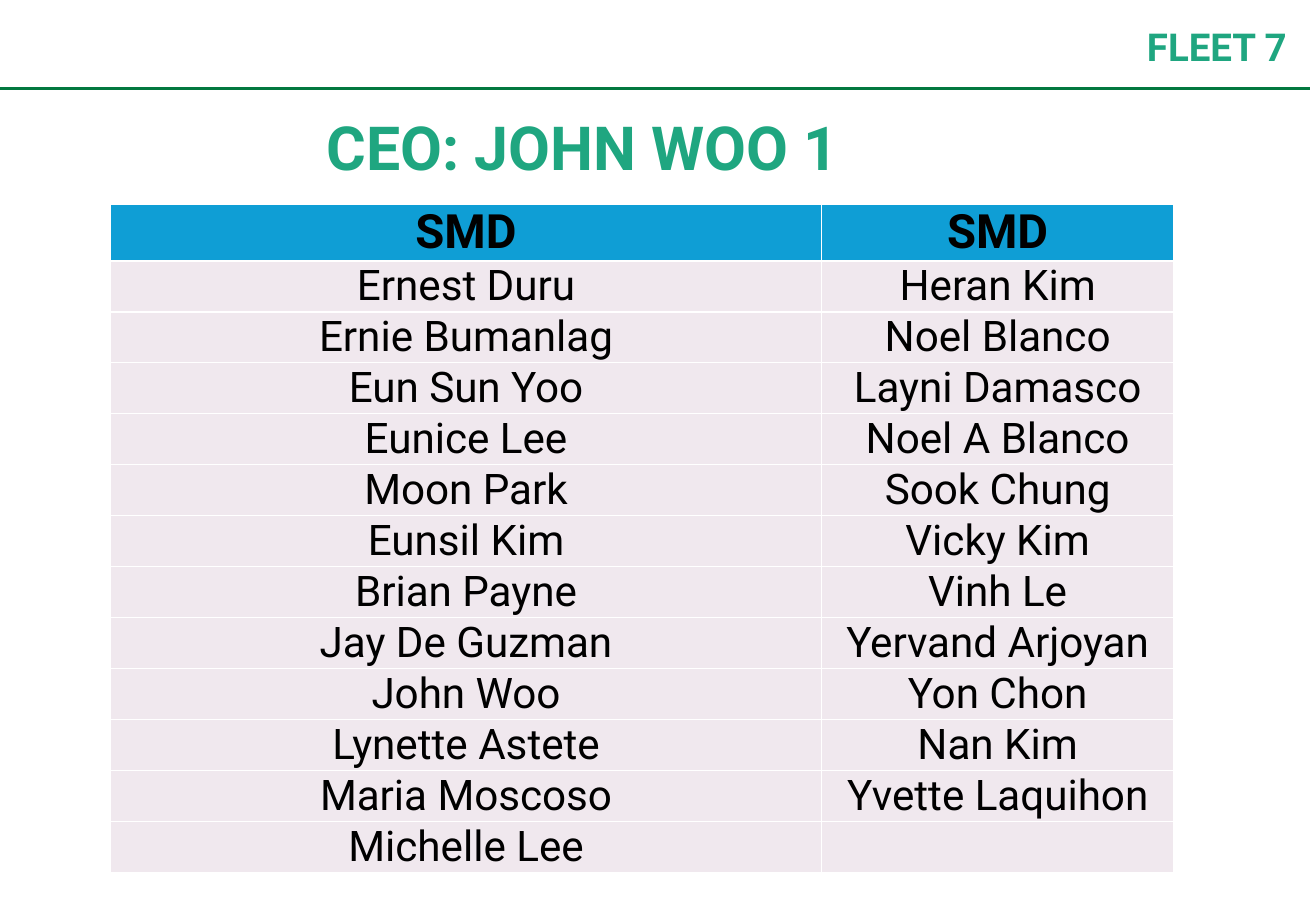
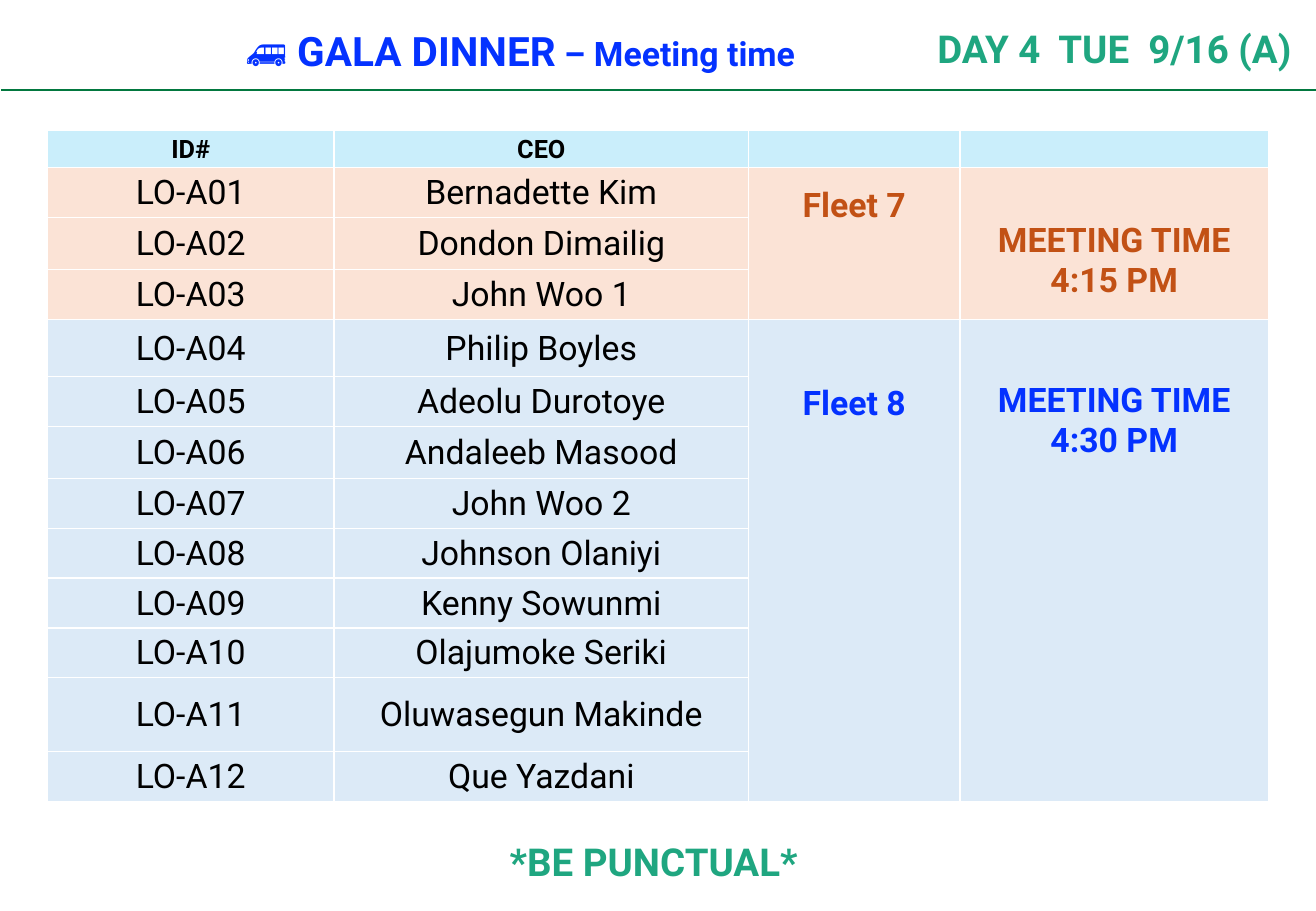
"""Build two event slides: a fleet roster and a gala dinner meeting schedule."""
import lxml.etree
import pptx
import pptx.dml.color
import pptx.enum.shapes
import pptx.enum.text
import pptx.oxml.ns
import pptx.util

Inches = pptx.util.Inches
ALIGN = pptx.enum.text.PP_ALIGN
ANCHOR = pptx.enum.text.MSO_ANCHOR
qn = pptx.oxml.ns.qn
FONT = "Roboto"
COLORS = {
    "green": "1FA680", "rule": "02783F", "blue": "0432FF", "orange": "C25115",
    "black": "000000", "white": "FFFFFF", "roster_head": "0F9ED5",
    "roster_row": "F0E8EE", "schedule_head": "CAEEFB", "peach": "FBE3D6",
    "sky": "DCEAF7",
}


def write(para, text, size=22.8, color="green", bold=True, align=ALIGN.CENTER):
    para.alignment = align
    span = para.add_run()
    span.text = text
    span.font.name = FONT
    span.font.size = pptx.util.Pt(size)
    span.font.bold = bold
    span.font.color.rgb = pptx.dml.color.RGBColor.from_string(COLORS[color])


def add_grid(page, left, top, widths, heights, fills, margin):
    frame = page.shapes.add_table(
        len(heights), len(widths), Inches(left), Inches(top),
        Inches(sum(widths)), Inches(sum(heights)))
    table = frame.table
    for column, width in zip(table.columns, widths):
        column.width = Inches(width)
    for row, height, fill in zip(table.rows, heights, fills):
        row.height = Inches(height)
        for cell in row.cells:
            cell.margin_left = cell.margin_right = cell.margin_top = Inches(margin)
            cell.margin_bottom = 0
            cell.vertical_anchor = ANCHOR.MIDDLE
            properties = cell._tc.get_or_add_tcPr()
            for side in ("lnL", "lnR", "lnT", "lnB"):
                border = lxml.etree.SubElement(properties, qn("a:" + side), w="12700")
                solid = lxml.etree.SubElement(border, qn("a:solidFill"))
                lxml.etree.SubElement(solid, qn("a:srgbClr"), val=COLORS["white"])
            cell.fill.solid()
            cell.fill.fore_color.rgb = pptx.dml.color.RGBColor.from_string(COLORS[fill])
    return table


deck = pptx.Presentation()
deck.slide_width = Inches(10.83)
deck.slide_height = Inches(7.5)
roster, schedule = [deck.slides.add_slide(deck.slide_layouts[6]) for _ in range(2)]

for page, rule_left, rule_top in ((roster, -0.05, 0.73), (schedule, 0.01, 0.74)):
    rule = page.shapes.add_connector(
        pptx.enum.shapes.MSO_CONNECTOR.STRAIGHT, Inches(rule_left), Inches(rule_top),
        Inches(rule_left + 10.83), Inches(rule_top))
    rule.line.color.rgb = pptx.dml.color.RGBColor.from_string(COLORS["rule"])
    rule.line.width = pptx.util.Pt(1.5)
    lxml.etree.SubElement(rule._element.spPr, qn("a:effectLst"))

gala_spans = [
    ("🚐 ", {"size": 24, "color": "blue", "bold": False}),
    ("GALA DINNER", {"size": 24, "color": "blue"}),
    (" – Meeting time", {"size": 20, "color": "blue"}),
]
text_boxes = [
    (roster, (2.61, 0.86, 5.51, 0.69), ALIGN.LEFT, [("CEO: JOHN WOO 1", {"size": 36})]),
    (roster, (5.9, 0.15, 4.77, 0.46), ALIGN.RIGHT, [("FLEET 7", {})]),
    (schedule, (5.94, 0.17, 4.77, 0.46), ALIGN.RIGHT, [("DAY 4  TUE  9/16 (A)", {})]),
    (schedule, (1.94, 0.17, 6.58, 0.49), ALIGN.LEFT, gala_spans),
    (schedule, (0, 6.86, 10.76, 0.46), ALIGN.CENTER, [("*BE PUNCTUAL*", {})]),
]
for page, place, align, spans in text_boxes:
    box = page.shapes.add_textbox(*[Inches(length) for length in place])
    frame = box.text_frame
    frame.word_wrap = True
    frame.margin_left = frame.margin_right = Inches(0.08)
    frame.margin_top = frame.margin_bottom = Inches(0.04)
    for text, style in spans:
        write(frame.paragraphs[0], text, align=align, **style)

directors = [
    ["SMD", "Ernest Duru", "Ernie Bumanlag", "Eun Sun Yoo", "Eunice Lee", "Moon Park",
     "Eunsil Kim", "Brian Payne", "Jay De Guzman", "John Woo", "Lynette Astete",
     "Maria Moscoso", "Michelle Lee"],
    ["SMD", "Heran Kim", "Noel Blanco", "Layni Damasco", "Noel A Blanco", "Sook Chung",
     "Vicky Kim", "Vinh Le", "Yervand Arjoyan", "Yon Chon", "Nan Kim",
     "Yvette Laquihon"],
]
table = add_grid(roster, 0.91, 1.68, [5.85, 2.9], [0.46] + [0.42] * 12,
                 ["roster_head"] + ["roster_row"] * 12, 0)
for column, names in enumerate(directors):
    for row, name in enumerate(names):
        write(table.cell(row, column).text_frame.paragraphs[0], name,
              size=25 if row else 28, color="black", bold=row == 0)

leaders = [
    "Bernadette Kim", "Dondon Dimailig", "John Woo 1", "Philip Boyles",
    "Adeolu Durotoye", "Andaleeb Masood", "John Woo 2", "Johnson Olaniyi",
    "Kenny Sowunmi", "Olajumoke Seriki", "Oluwasegun Makinde", "Que Yazdani",
]
heights = [0.3, 0.41, 0.43, 0.41, 0.47, 0.41, 0.43, 0.41, 0.41, 0.41, 0.41, 0.61, 0.41]
table = add_grid(schedule, 0.39, 1.07, [2.36, 3.41, 1.74, 2.54], heights,
                 ["schedule_head"] + ["peach"] * 3 + ["sky"] * 9, 0.01)
entries = [("ID#", "CEO")]
entries += [(f"LO-A{number:02}", name) for number, name in enumerate(leaders, 1)]
for row, entry in enumerate(entries):
    for column, text in enumerate(entry):
        write(table.cell(row, column).text_frame.paragraphs[0], text,
              size=20 if row else 15, color="black", bold=row == 0)

merged_cells = [
    (1, 3, 2, "orange", 0.15, ["Fleet 7"]),
    (1, 3, 3, "orange", 0.44, ["MEETING TIME", "4:15 PM"]),
    (4, 12, 2, "blue", 0.53, ["Fleet 8"]),
    (4, 12, 3, "blue", 0.51, ["MEETING TIME", "4:30 PM"]),
]
for first, last, column, color, gap, lines in merged_cells:
    cell = table.cell(first, column)
    cell.merge(table.cell(last, column))
    cell.vertical_anchor = ANCHOR.TOP
    cell.margin_top = Inches(gap)
    frame = cell.text_frame
    for index, line in enumerate(lines):
        para = frame.add_paragraph() if index else frame.paragraphs[0]
        write(para, line, size=20, color=color)

deck.save("out.pptx")
